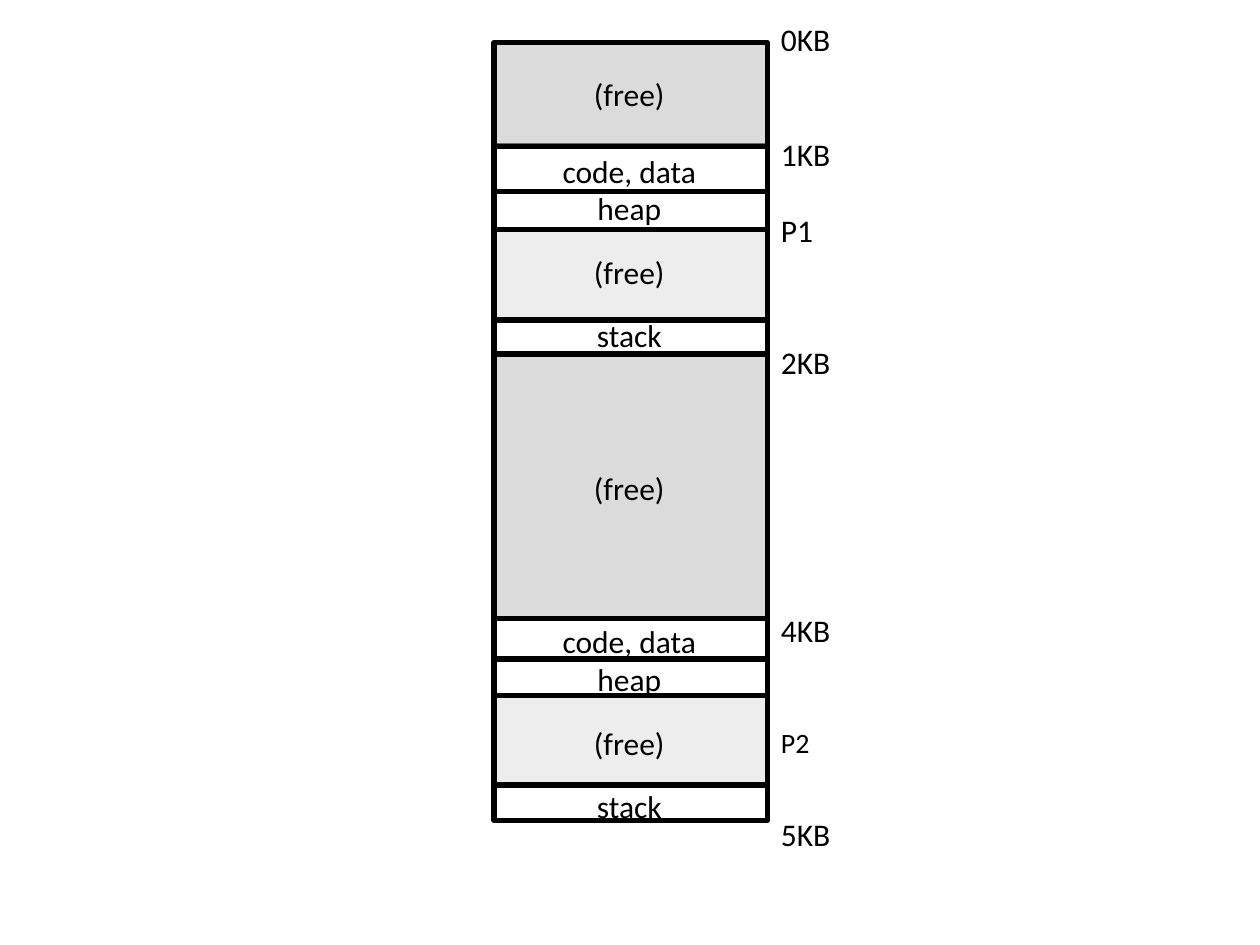
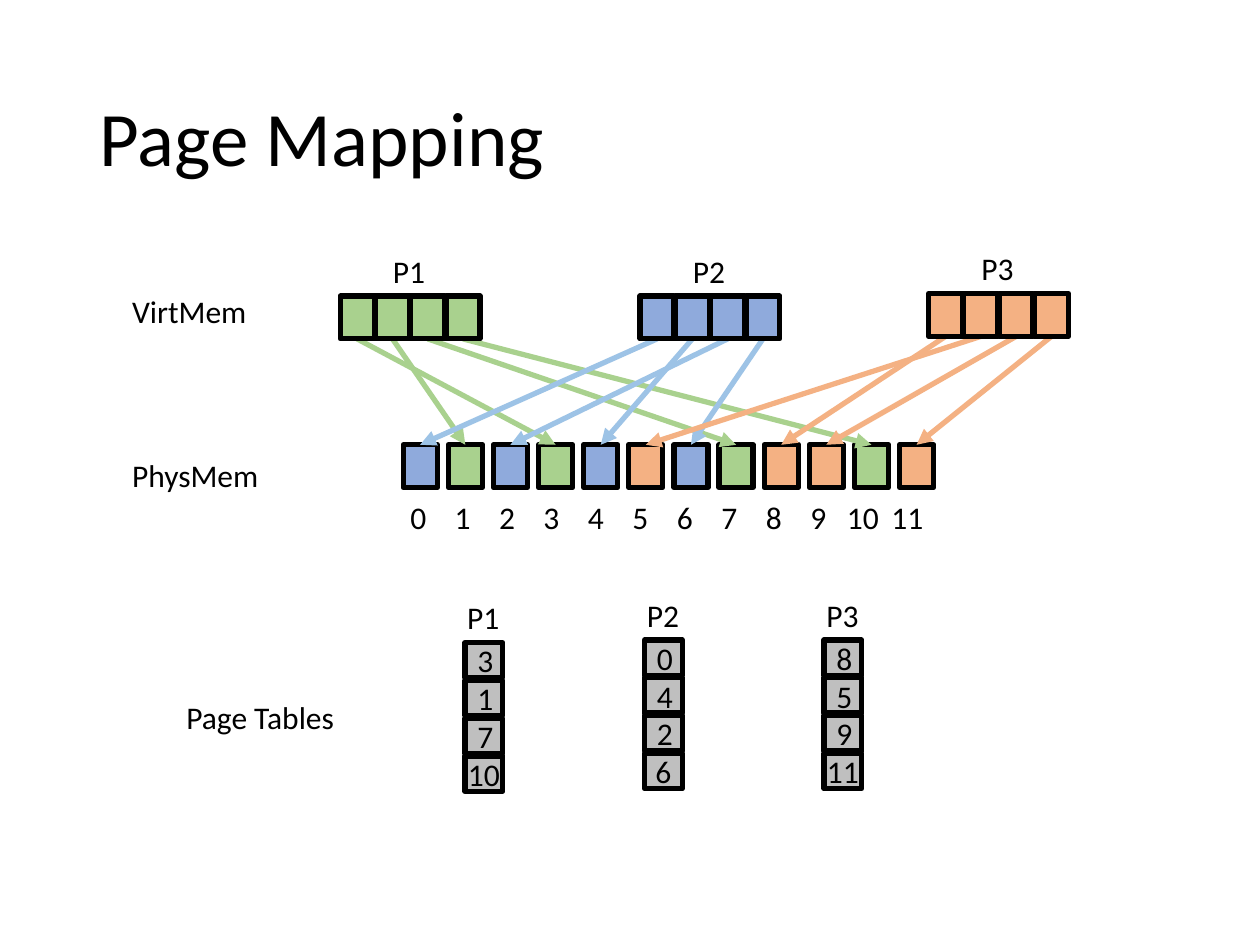
from pptx import Presentation
from pptx.dml.color import RGBColor as RGB
from pptx.enum.shapes import MSO_CONNECTOR as LINK, MSO_SHAPE as SHAPE
from pptx.enum.text import MSO_ANCHOR as ANCHOR, MSO_AUTO_SIZE as FIT, PP_ALIGN as ALIGN
from pptx.oxml.ns import qn
from pptx.util import Inches, Pt
from lxml.etree import SubElement

HUES = {
    "black": "000000", "edge": "43739E", "free": "DBDBDB", "gap": "EDEDED",
    "table": "BFBFBF", "green": "A9D18E", "blue": "8FAADC", "orange": "F4B183",
    "sky": "9DC3E6",
}
FONT = "Calibri"
LEAD = 1.22  # line height of the font, per point of size

# Memory layout: bands are (hue, top, height); words are (text, size, gap before).
BANDS = [("gap", 5.52, 0.71), ("gap", 1.83, 0.71), ("free", 2.81, 2.1), ("free", 0.34, 0.8)]
CUTS = [1.16, 1.52, 1.82, 2.54, 2.81, 4.91, 5.23, 5.52, 6.23]
PROC = [("code, data", 18), ("heap", 0), ("(free)", 12), ("stack", 12)]
PARTS = [("(free)", 0), *PROC, ("(free)", 54), ("code, data", 54), *PROC[1:]]
MARKS = [("0KB", 18, 0), ("1KB", 18, 36), ("P1", 18, 18), ("2KB", 18, 44),
         ("4KB", 18, 108), ("P2", 16, 36), ("5KB", 18, 26)]

# Page mapping: name, fill, arrow hue, page left and top, table top, frames
PROCS = [
    ("P1", "green", "green", 2.7, 2.35, 5.1, [3, 1, 7, 10]),
    ("P2", "blue", "sky", 5.08, 2.35, 5.08, [0, 4, 2, 6]),
    ("P3", "orange", "orange", 7.37, 2.33, 5.08, [8, 5, 9, 11]),
]
CELL_W, CELL_H = 0.27, 0.34
PAGE_STEP = 0.28
FRAME_TOP, FRAMES = 3.53, 12
TABLE_STEP, ROW_STEP = 1.425, 0.3


def frame_x(num):
    return 3.2 + 3.94 * num / (FRAMES - 1)


class Deck:
    def __init__(self):
        self.prs = Presentation()
        self.prs.slide_width, self.prs.slide_height = Inches(10), Inches(7.5)
        self.slide = None

    def new(self, layout):
        self.slide = self.prs.slides.add_slide(self.prs.slide_layouts[layout])

    def run(self, para, text, size=18):
        run = para.add_run()
        run.text = text
        run.font.name, run.font.size = FONT, Pt(size)
        run.font.color.rgb = RGB.from_string(HUES["black"])

    def title(self, text):
        head = self.slide.shapes.title
        head.left, head.top = Inches(0.69), Inches(0.4)
        head.width, head.height = Inches(8.62), Inches(1.45)
        head.text_frame.vertical_anchor = ANCHOR.MIDDLE
        para = head.text_frame.paragraphs[0]
        para.alignment, para.line_spacing = ALIGN.LEFT, 0.9
        self.run(para, text, 44)

    def rect(self, x, y, w, h, fill=None, edge="black", line=3, host=None):
        box = (host or self.slide).shapes.add_shape(
            SHAPE.RECTANGLE, Inches(x), Inches(y), Inches(w), Inches(h))
        box.shadow.inherit = False
        if fill:
            box.fill.solid()
            box.fill.fore_color.rgb = RGB.from_string(HUES[fill])
        else:
            box.fill.background()
        box.line.color.rgb = RGB.from_string(HUES[edge])
        box.line.width = Pt(line)
        return box

    def cell(self, x, y, text, host, tight):
        """Draw one page table entry; tight drops the text margins."""
        frame = self.rect(x, y, 0.3, 0.28, "table", host=host).text_frame
        frame.vertical_anchor = ANCHOR.MIDDLE
        if tight:
            frame.margin_left = frame.margin_right = 0
            frame.margin_top = frame.margin_bottom = 0
        para = frame.paragraphs[0]
        para.alignment = ALIGN.CENTER
        self.run(para, text)

    def line(self, x1, y1, x2, y2, hue="black", arrow=False):
        link = self.slide.shapes.add_connector(
            LINK.STRAIGHT, Inches(x1), Inches(y1), Inches(x2), Inches(y2))
        link.line.color.rgb = RGB.from_string(HUES[hue])
        link.line.width = Pt(3)
        props = link._element.spPr
        if arrow:
            SubElement(props.find(qn("a:ln")), qn("a:tailEnd"), type="triangle")
        SubElement(props, qn("a:effectLst"))

    def text(self, x, y, w, h, rows, align=ALIGN.LEFT, wrap=False, host=None):
        """Add a text box of (text, size, gap before in points) rows."""
        frame = (host or self.slide).shapes.add_textbox(
            Inches(x), Inches(y), Inches(w), Inches(h)).text_frame
        frame.word_wrap, frame.auto_size = wrap, FIT.SHAPE_TO_FIT_TEXT
        for num, (text, size, gap) in enumerate(rows):
            para = frame.add_paragraph() if num else frame.paragraphs[0]
            para.alignment = align
            if gap:
                para.space_before = Pt(LEAD * gap)
            self.run(para, text, size)
        return frame

    def label(self, x, y, w, text, host=None):
        self.text(x, y, w, 0.4, [(text, 18, 0)], host=host)

    def scale(self, x, y, w, count, start, step):
        """Number the frames in one line, centred on even tab stops."""
        row = "\t".join(str(num) for num in range(count))
        frame = self.text(x, y, w, 0.4, [(row, 18, 0)], wrap=True)
        stops = SubElement(frame.paragraphs[0]._p.get_or_add_pPr(), qn("a:tabLst"))
        for num in range(1, count):
            SubElement(stops, qn("a:tab"), pos=str(Inches(start + step * num)), algn="ctr")


def layout(deck):
    deck.new(6)
    for hue, top, high in BANDS:
        deck.rect(3.91, top, 2.17, high, hue, "edge", 1)
    deck.rect(3.92, 0.34, 2.17, 6.17)
    for y in CUTS:
        deck.line(3.92, y, 6.1, y)
    rows = [(text, 18, gap) for text, gap in PARTS]
    deck.text(4.36, 0.55, 1.27, 6.06, rows, ALIGN.CENTER)
    deck.text(6.1, 0.11, 0.6, 6.7, MARKS)


def mapping(deck):
    deck.new(5)
    deck.title("Page Mapping")
    for _, fill, _, _, _, _, frames in PROCS:
        for num in frames:
            deck.rect(frame_x(num), FRAME_TOP, CELL_W, CELL_H, fill)
    for _, _, hue, left, top, _, frames in PROCS:
        for page, num in enumerate(frames):
            deck.line(left + page * PAGE_STEP + CELL_W / 2, top + CELL_H,
                      frame_x(num) + CELL_W / 2, FRAME_TOP, hue, True)
    deck.label(0.95, 2.27, 1.12, "VirtMem")
    deck.label(0.95, 3.57, 1.21, "PhysMem")
    deck.label(1.38, 5.49, 1.39, "Page Tables")
    deck.scale(3.16, 3.9, 5.14, FRAMES, 0.06, 0.353)
    for col, (name, fill, _, left, top, base, frames) in enumerate(PROCS):
        for page in range(len(frames)):
            deck.rect(left + page * PAGE_STEP, top, CELL_W, CELL_H, fill)
        deck.label(left + 0.32, top - 0.4, 0.46, name)
        group = deck.slide.shapes.add_group_shape()
        x = 3.69 + col * TABLE_STEP
        for row, num in enumerate(frames):
            deck.cell(x, base + row * ROW_STEP, str(num), group, row == len(frames) - 1)
        deck.label(x - 0.08, base - 0.4, 0.46, name, group)


def main():
    deck = Deck()
    layout(deck)
    mapping(deck)
    deck.prs.save("out.pptx")


if __name__ == "__main__":
    main()
